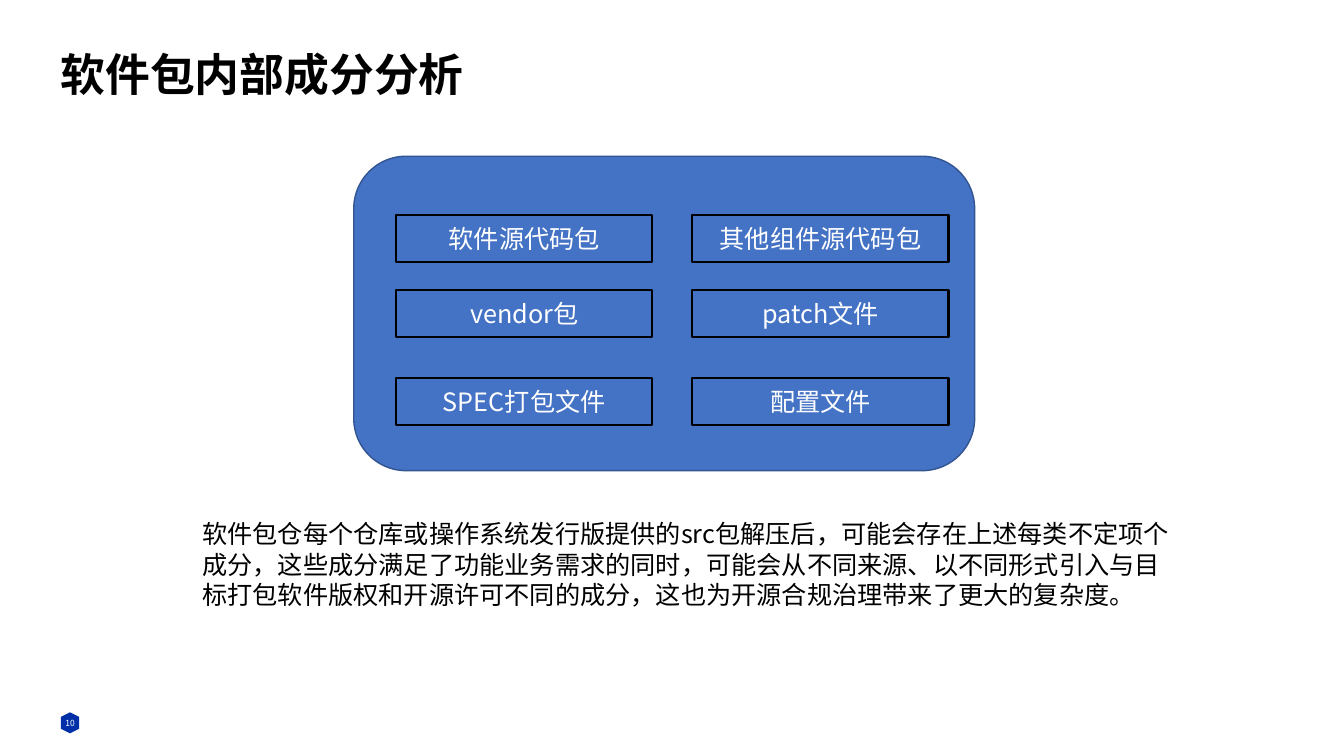
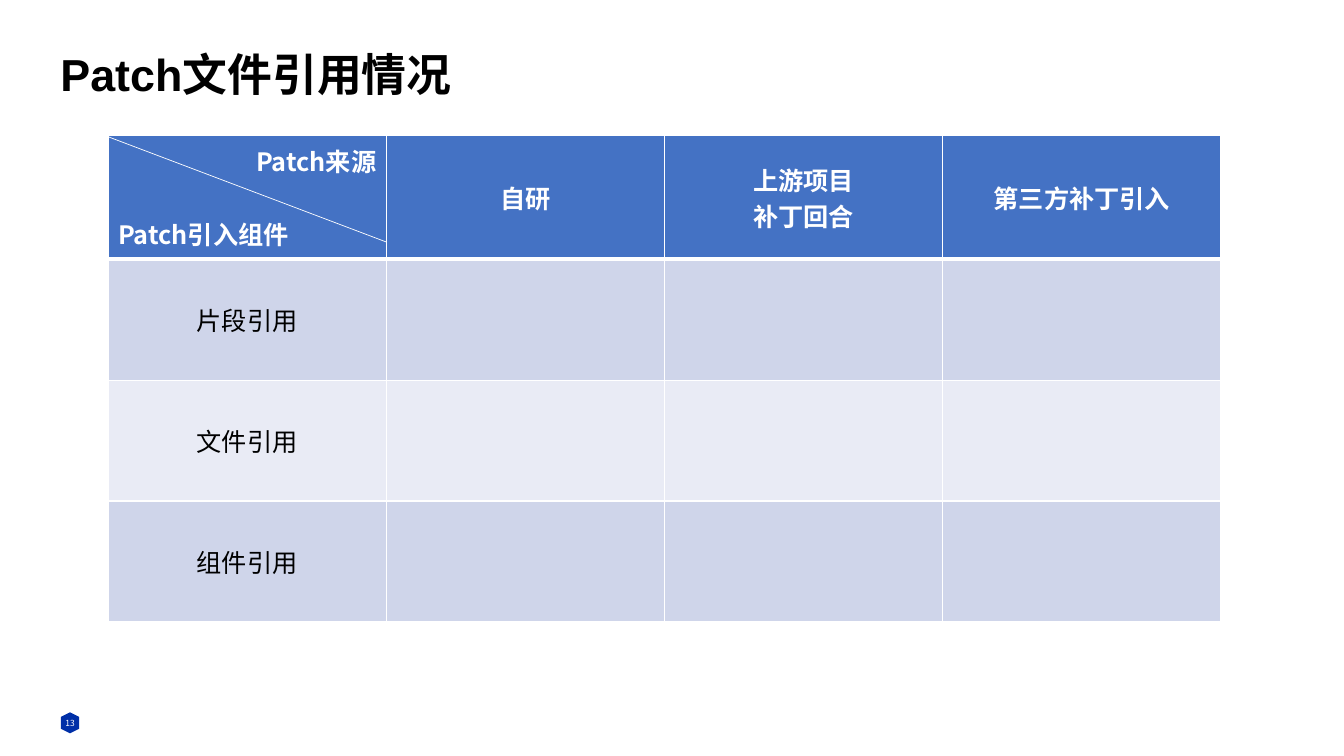
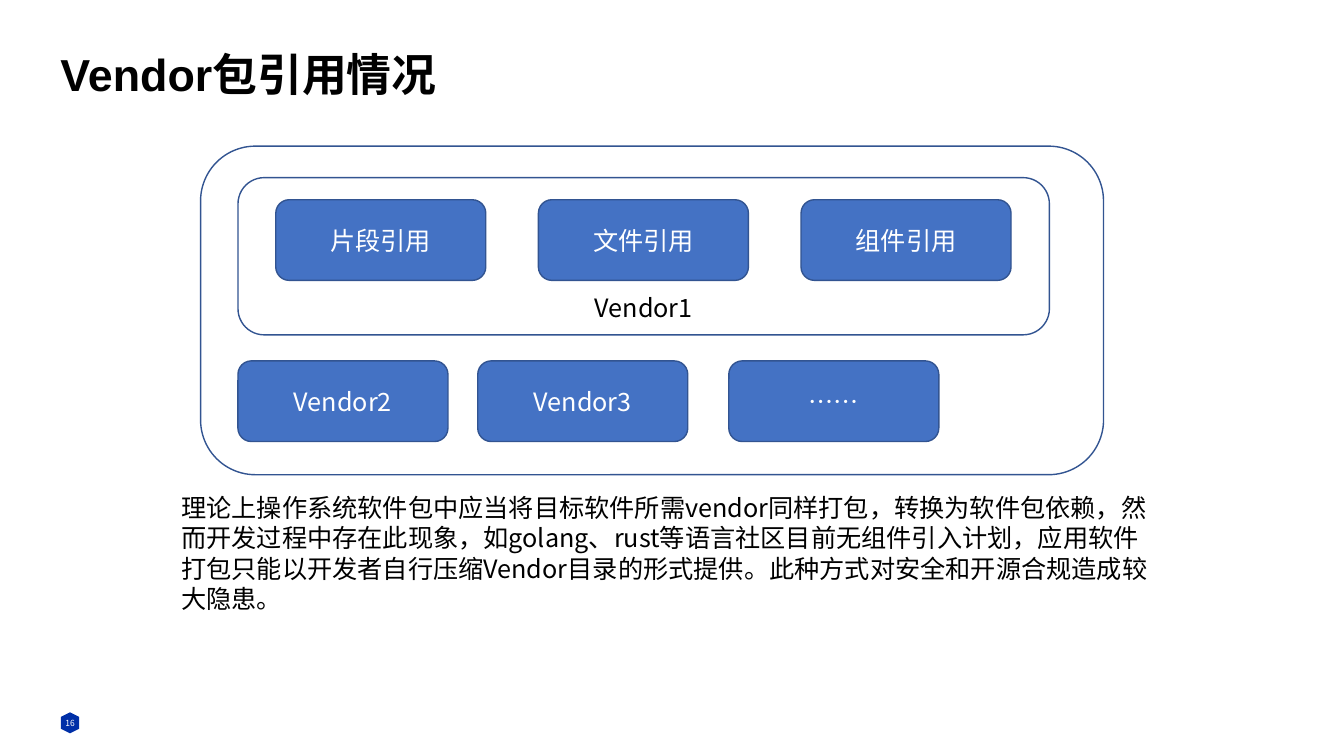
from dataclasses import dataclass

from lxml import etree
from pptx import Presentation
from pptx.dml.color import RGBColor
from pptx.enum.shapes import MSO_CONNECTOR, MSO_SHAPE
from pptx.enum.text import MSO_ANCHOR, MSO_AUTO_SIZE, PP_ALIGN
from pptx.oxml.ns import qn
from pptx.util import Pt

RECT, ROUND, HEXAGON = MSO_SHAPE.RECTANGLE, MSO_SHAPE.ROUNDED_RECTANGLE, MSO_SHAPE.HEXAGON
TOP, MIDDLE, BOTTOM = MSO_ANCHOR.TOP, MSO_ANCHOR.MIDDLE, MSO_ANCHOR.BOTTOM
LEFT, CENTER, RIGHT = PP_ALIGN.LEFT, PP_ALIGN.CENTER, PP_ALIGN.RIGHT
NO_FIT, GROW = MSO_AUTO_SIZE.NONE, MSO_AUTO_SIZE.SHAPE_TO_FIT_TEXT
TITLE_ONLY = 5


@dataclass(frozen=True)
class Theme:
    black: str = "000000"
    white: str = "FFFFFF"
    blue: str = "4472C4"
    outline: str = "325491"
    badge: str = "002FA7"
    bands: tuple = ("CFD5EA", "E9EBF5")
    font: str = "Noto Sans CJK SC"
    title_font: str = "Arial"
    title_size: float = 32
    text_size: float = 18
    page_size: float = 6
    body_leading: float = 21.8


def assign(obj, values):
    for name, value in values.items():
        setattr(obj, name, value)


def rgb(color):
    return RGBColor.from_string(color)


class Deck:
    def __init__(self, theme):
        self.t = theme
        self.prs = Presentation()
        assign(self.prs, {"slide_width": Pt(960), "slide_height": Pt(540)})
        self.s = None

    # Text
    def add_text(self, p, text, color, size=None, font=None, bold=False):
        r = p.add_run()
        r.text = text
        assign(r.font, {"size": Pt(size or self.t.text_size), "bold": bold,
                        "name": font or self.t.font})
        r.font.color.rgb = rgb(color)
        ea = etree.SubElement(r._r.get_or_add_rPr(), qn("a:ea"))
        ea.set("typeface", self.t.font)

    def fill_frame(self, tf, text, color, align=CENTER, anchor=MIDDLE, fit=NO_FIT, **style):
        assign(tf, {"word_wrap": True, "auto_size": fit, "vertical_anchor": anchor})
        p = tf.paragraphs[0]
        p.alignment = align
        self.add_text(p, text, color, **style)
        return p

    def label(self, box, text, color, **style):
        sp = self.s.shapes.add_textbox(*map(Pt, box))
        return self.fill_frame(sp.text_frame, text, color, **style)

    def body(self, box, text):
        p = self.label(box, text, self.t.black, align=LEFT, anchor=TOP, fit=GROW)
        p.line_spacing = Pt(self.t.body_leading)

    # Slide with title and page badge
    def slide(self, title, page):
        t = self.t
        self.s = self.prs.slides.add_slide(self.prs.slide_layouts[TITLE_ONLY])
        sp = self.s.shapes.title
        assign(sp, {"left": Pt(36), "top": Pt(27.4), "width": Pt(888.5), "height": Pt(51)})
        self.fill_frame(sp.text_frame, title, t.black, align=LEFT,
                        size=t.title_size, font=t.title_font, bold=True)
        badge = self.shape(HEXAGON, (42.5, 509.8, 15, 13), fill=t.badge)
        badge.rotation = 90
        self.label((35.3, 502, 29.5, 28.8), page, t.white, size=t.page_size)

    # Shapes
    def shape(self, kind, box, fill=None, line=None, width=1.0, text=None, **style):
        sp = self.s.shapes.add_shape(kind, *map(Pt, box))
        sp.shadow.inherit = False
        for part, color in ((sp.fill, fill), (sp.line.fill, line)):
            if color:
                part.solid()
                part.fore_color.rgb = rgb(color)
            else:
                part.background()
        if line:
            sp.line.width = Pt(width)
        if text:
            self.fill_frame(sp.text_frame, text, **style)
        return sp

    def panel(self, box, **options):
        return self.shape(ROUND, box, line=self.t.outline, **options)

    def chip(self, x, y, text):
        self.panel((x, y, 150, 57.6), fill=self.t.blue, text=text, color=self.t.white)

    def line(self, x1, y1, x2, y2, color, width):
        cx = self.s.shapes.add_connector(MSO_CONNECTOR.STRAIGHT, *map(Pt, (x1, y1, x2, y2)))
        cx.line.color.rgb = rgb(color)
        cx.line.width = Pt(width)
        etree.SubElement(cx._element.spPr, qn("a:effectLst"))

    # Table
    def borders(self, cell, top, bottom):
        tcPr = cell._tc.get_or_add_tcPr()
        for i, (side, width) in enumerate((("L", 1), ("R", 1), ("T", top), ("B", bottom))):
            ln = etree.Element(qn(f"a:ln{side}"), w=str(Pt(width)))
            fill = etree.SubElement(ln, qn("a:solidFill"))
            etree.SubElement(fill, qn("a:srgbClr"), val=self.t.white)
            tcPr.insert(i, ln)

    def table(self, box, head_height, rows):
        """Each cell is a list of (text, alignment, space before) paragraphs."""
        t = self.t
        tbl = self.s.shapes.add_table(len(rows), len(rows[0]), *map(Pt, box)).table
        row_height = (box[3] - head_height) / (len(rows) - 1)
        for i, row in enumerate(rows):
            head = i == 0
            tbl.rows[i].height = Pt(head_height if head else row_height)
            for j, lines in enumerate(row):
                cell = tbl.cell(i, j)
                cell.fill.solid()
                cell.fill.fore_color.rgb = rgb(t.blue if head else t.bands[(i - 1) % 2])
                cell.vertical_anchor = MIDDLE
                self.borders(cell, top=3 if i == 1 else 1, bottom=3 if head else 1)
                tf = cell.text_frame
                for n, (text, align, gap) in enumerate(lines):
                    p = tf.add_paragraph() if n else tf.paragraphs[0]
                    assign(p, {"alignment": align, "space_before": Pt(gap)})
                    self.add_text(p, text, t.white if head else t.black, bold=head)


def main():
    t = Theme()
    d = Deck(t)
    references = ("片段引用", "文件引用", "组件引用")

    # Package contents
    d.slide("软件包内部成分分析", "10")
    d.panel((252.7, 111.6, 443.5, 224.6), fill=t.blue)
    contents = ((153.4, "软件源代码包", "其他组件源代码包"),
                (207.2, "vendor包", "patch文件"),
                (270, "SPEC打包文件", "配置文件"))
    for y, *names in contents:
        for x, name in zip((283, 494.6), names):
            d.shape(RECT, (x, y, 183, 33.5), line=t.black, width=1.5,
                    text=name, color=t.white)
    d.body((137.5, 366.5, 715.7, 72.7),
           "软件包仓每个仓库或操作系统发行版提供的src包解压后，可能会存在上述每类不定项个成分，"
           "这些成分满足了功能业务需求的同时，可能会从不同来源、以不同形式引入与目标打包软件版权"
           "和开源许可不同的成分，这也为开源合规治理带来了更大的复杂度。")

    # Patch references
    d.slide("Patch文件引用情况", "13")
    head = [[("Patch来源", RIGHT, 0), ("Patch引入组件", LEFT, 26)],
            [("自研", CENTER, 0)],
            [("上游项目", CENTER, 0), ("补丁回合", CENTER, 0)],
            [("第三方补丁引入", CENTER, 0)]]
    d.table((77.2, 96.8, 795, 347.4), 88.4,
            [head] + [[[(name, CENTER, 0)], [], [], []] for name in references])
    d.line(77.8, 97.9, 275.8, 172.8, t.white, 0.5)

    # Vendor references
    d.slide("Vendor包引用情况", "16")
    d.panel((143.3, 104.4, 645, 234.7))
    d.panel((170, 126.9, 579.6, 112.3), text="Vendor1", color=t.black, anchor=BOTTOM)
    for i, name in enumerate(references):
        d.chip(197 + 187.6 * i, 142.7, name)
    for x, name in ((170, "Vendor2"), (341.3, "Vendor3"), (520.6, "……")):
        d.chip(x, 257.8, name)
    d.body((122.4, 347.8, 715.7, 94.4),
           "理论上操作系统软件包中应当将目标软件所需vendor同样打包，转换为软件包依赖，"
           "然而开发过程中存在此现象，如golang、rust等语言社区目前无组件引入计划，应用软件打包"
           "只能以开发者自行压缩Vendor目录的形式提供。此种方式对安全和开源合规造成较大隐患。")

    d.prs.save("out.pptx")


if __name__ == "__main__":
    main()
